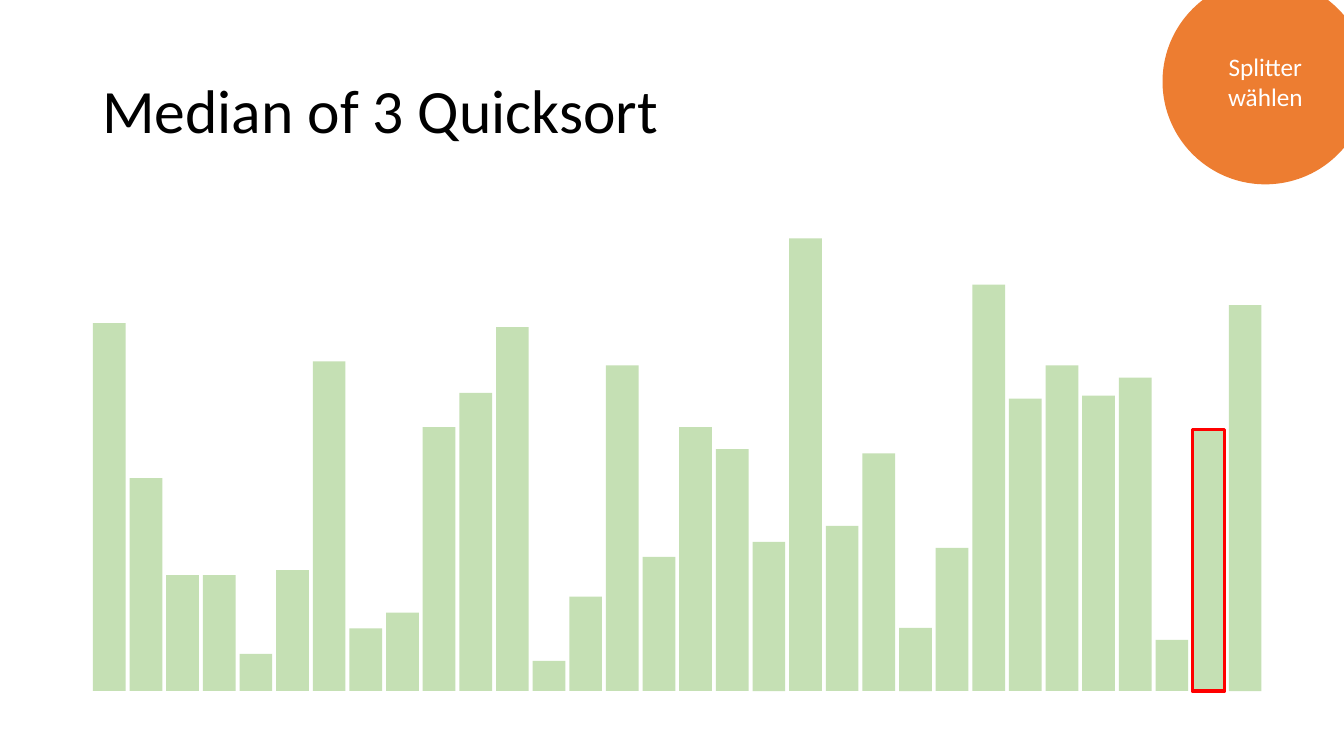
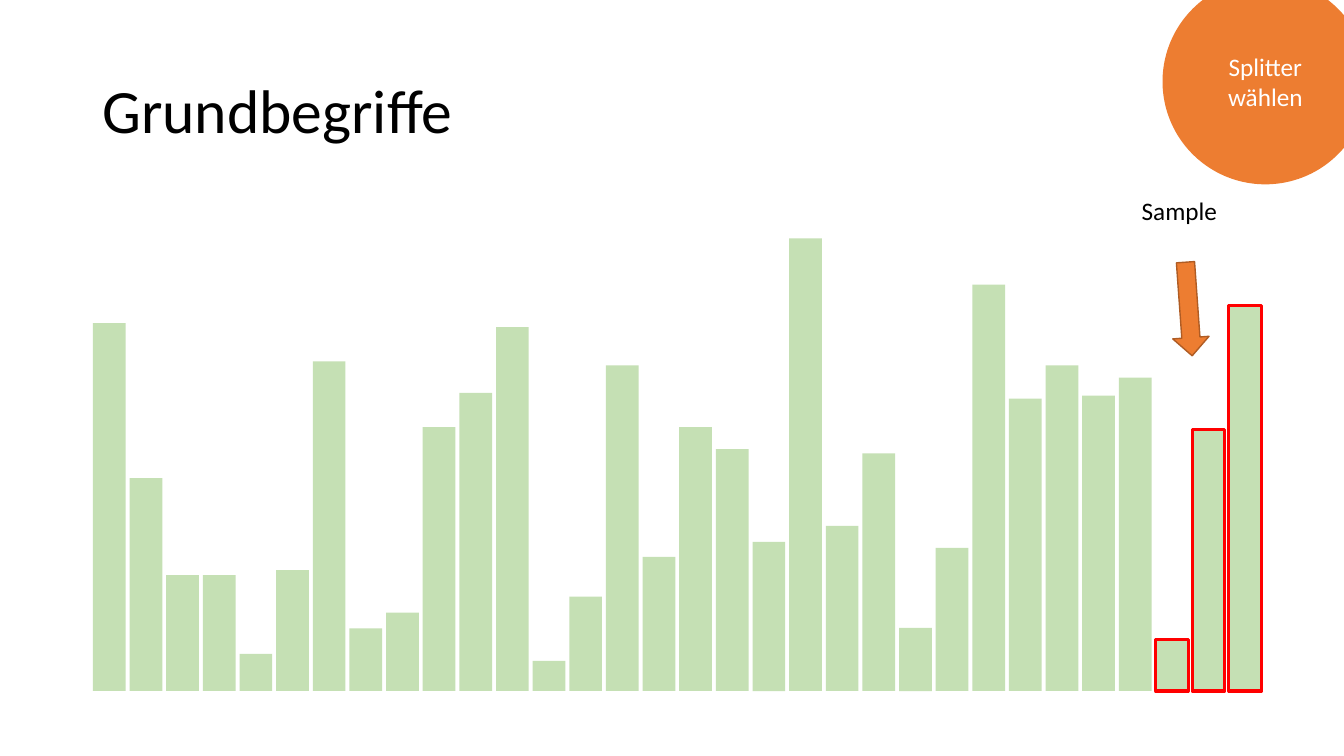
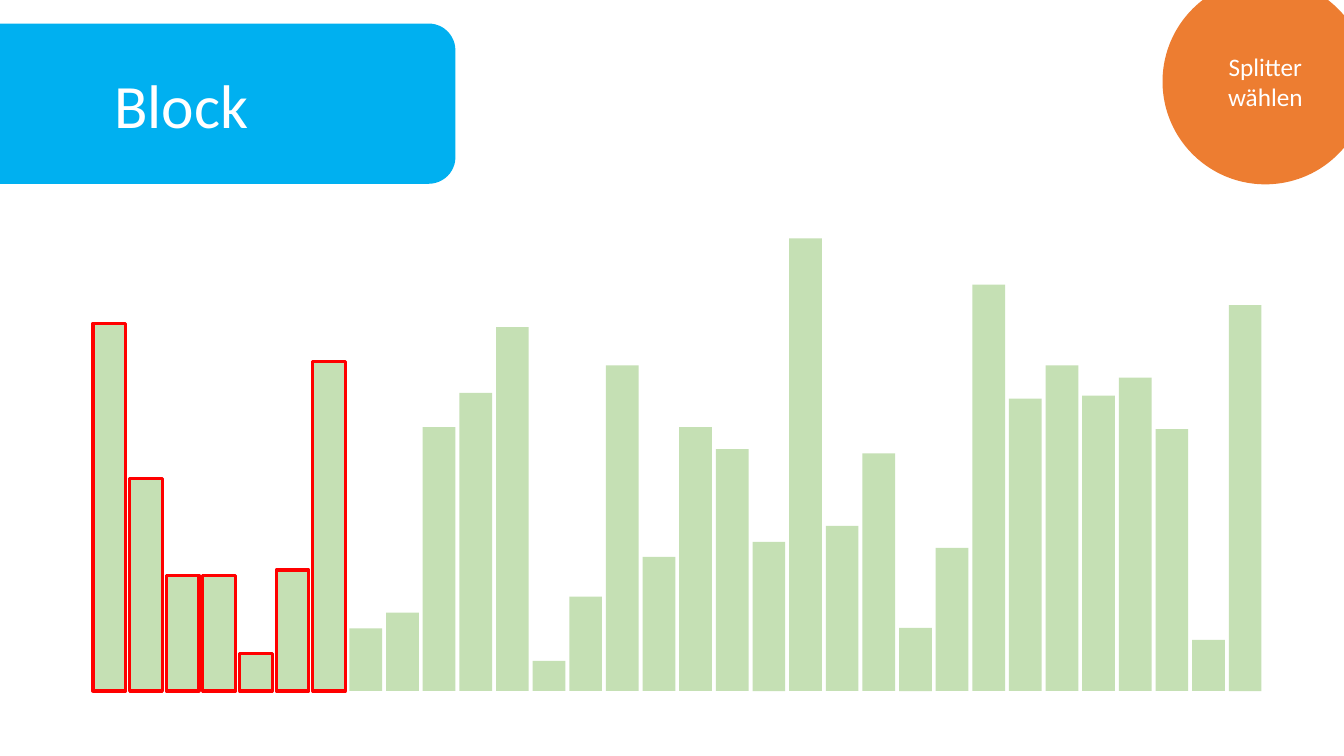
from pptx import Presentation
from pptx import util as u
from pptx.dml import color as col
from pptx.enum import shapes, text

Pt = u.Pt
KIND = shapes.MSO_SHAPE
HUES = {"bar": "C5E0B4", "mark": "FF0000", "badge": "ED7D31", "edge": "AF5C24",
        "tab": "00B0F0", "dark": "000000", "light": "FFFFFF"}
FONT = "Calibri"
FRAME = {"word_wrap": True, "vertical_anchor": text.MSO_ANCHOR.MIDDLE}
HEAD = {"size": Pt(44), "name": FONT}
BODY = {"size": Pt(18), "name": FONT}
LEFT = {"alignment": text.PP_ALIGN.LEFT}
MID = {"alignment": text.PP_ALIGN.CENTER}

# Bar heights in points, in order of the array
BARS = [262.8, 152, 82.8, 82.8, 26.6, 86.4, 235.4, 44.8,
        56, 188.6, 213, 260, 21.6, 67.5, 232.6, 95.8,
        188.6, 172.8, 106.6, 323.3, 118, 169.8, 45.2, 102.2,
        290.2, 208.8, 232.6, 211, 223.8, 36.6, 187, 275.6]

# Boxes: left, top, width, height
FIELD = (66.4, 170.3, 834.7, 323.3)
TITLE = (66, 28.75, 828, 104.4)
BADGE = (830.4, -15.2, 146.9, 146.9)
TAB = (-66.2, 16.8, 391.5, 114.5)
NOTE = (808.4, 136.3, 69, 29)
ARROW = (836.2, 187.2, 26, 67)


def put(obj, vals):
    for key, val in vals.items():
        setattr(obj, key, val)


def hue(name):
    return col.RGBColor.from_string(HUES[name])


def write(shape, words, font, ink, para, frame=FRAME):
    body = shape.text_frame
    put(body, frame)
    line = body.paragraphs[0]
    put(line, para)
    run = line.add_run()
    run.text = words
    put(run.font, font)
    run.font.color.rgb = hue(ink)


def draw(slide, kind, box, fill, edge=None, width=1):
    shape = slide.shapes.add_shape(kind, *map(Pt, box))
    shape.shadow.inherit = False
    shape.fill.solid()
    shape.fill.fore_color.rgb = hue(fill)
    if edge:
        shape.line.color.rgb = hue(edge)
        shape.line.width = Pt(width)
    else:
        shape.line.fill.background()
    return shape


def label(slide, box, *style):
    write(slide.shapes.add_textbox(*map(Pt, box)), *style)


# Bars standing on the bottom of the box, some of them outlined
def graph(slide, box, bars, marks):
    left, top, width, height = box
    gap = 2.8
    step = (width + gap) / len(bars)
    for i, tall in enumerate(bars):
        spot = (left + i * step, top + height - tall, step - gap, tall)
        draw(slide, KIND.RECTANGLE, spot, "bar",
             "mark" if i in marks else None, 2.25)


def title(slide, box, words):
    label(slide, box, words, HEAD, "dark", {**LEFT, "line_spacing": 0.9})


# Rounded tab that runs in from the left edge
def tab(slide, box, words):
    shape = draw(slide, KIND.ROUNDED_RECTANGLE, box, "tab")
    write(shape, words, HEAD, "light", MID)


# Round badge in the top right corner
def badge(slide, box):
    shape = draw(slide, KIND.OVAL, box, "badge")
    write(shape, "Splitter wählen", BODY, "light", MID)


# Caption with an arrow to the sample
def note(slide, box, tip, words):
    arrow = draw(slide, KIND.DOWN_ARROW, tip, "badge", "edge")
    arrow.rotation = 355.9
    label(slide, box, words, BODY, "dark", LEFT, {"word_wrap": False})


def page(deck, head, box, words, bars, marks):
    slide = deck.slides.add_slide(deck.slide_layouts[6])
    graph(slide, FIELD, bars, marks)
    head(slide, box, words)
    badge(slide, BADGE)
    return slide


def main():
    deck = Presentation()
    put(deck, {"slide_width": Pt(960), "slide_height": Pt(540)})

    page(deck, title, TITLE, "Median of 3 Quicksort", BARS, {30})

    terms = page(deck, title, TITLE, "Grundbegriffe", BARS, {29, 30, 31})
    note(terms, NOTE, ARROW, "Sample")

    # The median has changed places with its left neighbour
    moved = BARS[:29] + [BARS[30], BARS[29], BARS[31]]
    page(deck, tab, TAB, "Block", moved, range(7))

    deck.save("out.pptx")


if __name__ == "__main__":
    main()
